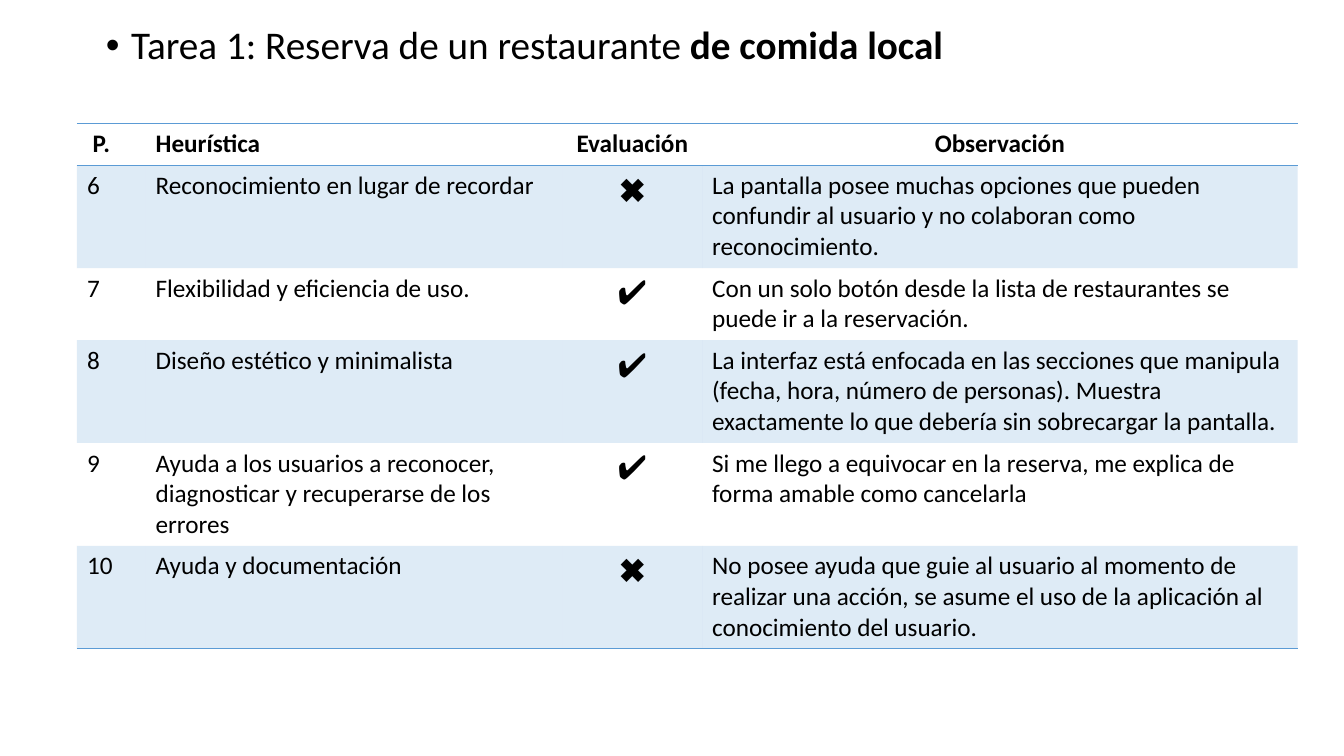
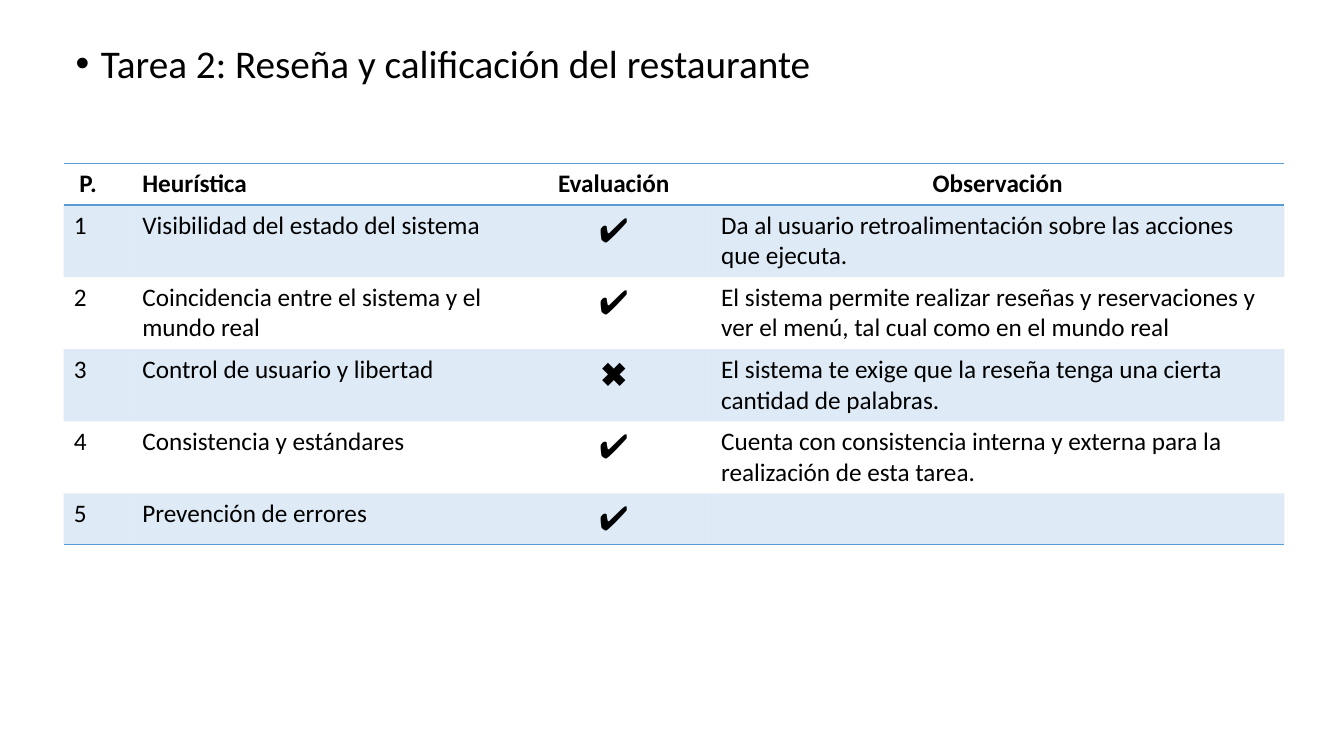
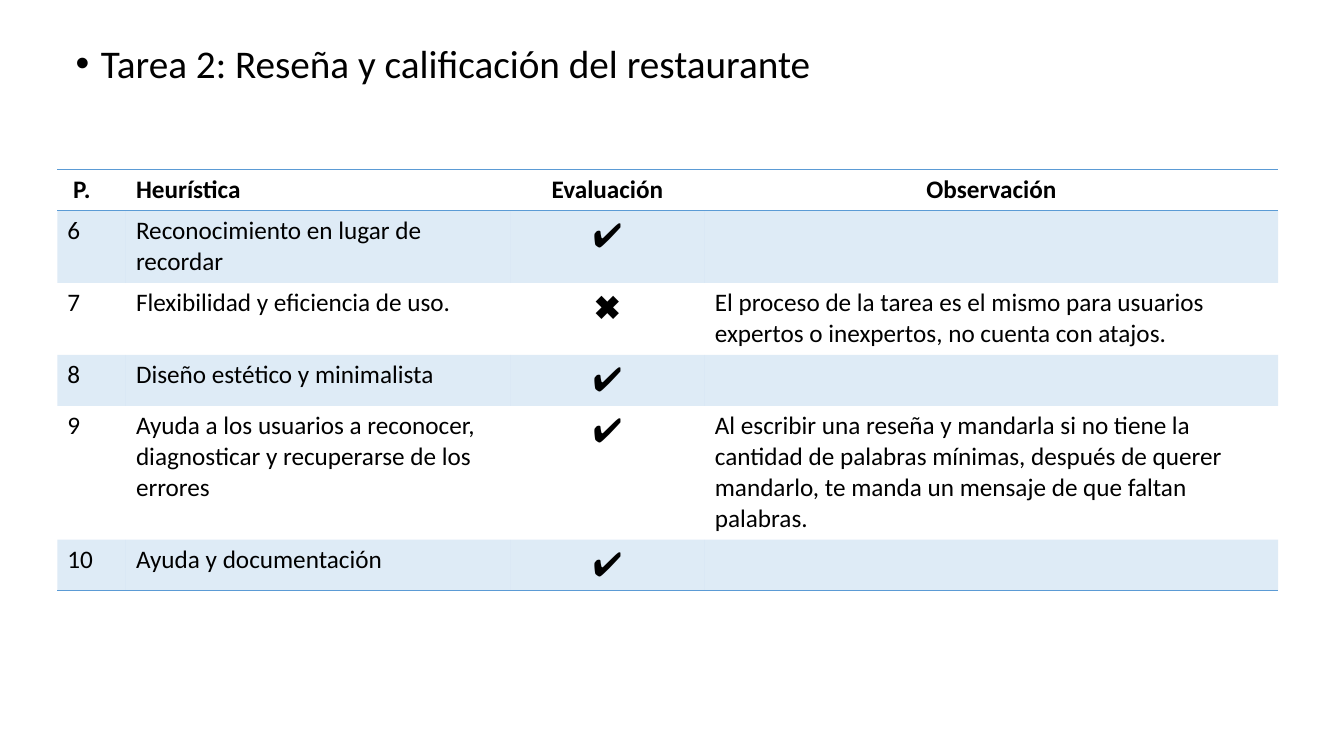
from lxml import etree
from pptx import Presentation
from pptx.dml.color import RGBColor
from pptx.enum.text import PP_ALIGN
from pptx.oxml import parse_xml
from pptx.oxml.ns import nsdecls, qn
from pptx.util import Pt

LEFT, CENTER = PP_ALIGN.LEFT, PP_ALIGN.CENTER
COLORS = {"text": "000000", "accent": "5B9BD5"}
FONT = "Calibri"
BAND_ALPHA = "20000"
PLAIN_TABLE = "{2D5ABB26-0587-4C30-8999-92F81FD0307C}"

# Row heights in points, by the number of text lines in the row
HEADER_HEIGHT = 29.5
ROW_HEIGHTS = {1: 36.5, 2: 51.5, 3: 73.5, 4: 95.5}
HEADER = (" P.", "Heurística", "Evaluación", "Observación")
MARK_COLUMN = 2
YES, NO = "✔️", "✖️"

TASK_2 = [("Tarea 2: Reseña y calificación del restaurante", False)]
TASK_2_COLUMNS = (49, 274.5, 139, 409.5)

# Each row: number of lines, then the four cells
PAGES = [
    {
        "title": [("Tarea 1: Reserva de un restaurante ", False), ("de comida local", True)],
        "title_at": (68.5, 15),
        "table_at": (55, 88.5),
        "columns": (49, 298, 99.5, 425.5),
        "rows": [
            (3, "6", "Reconocimiento en lugar de recordar", NO,
             "La pantalla posee muchas opciones que pueden confundir al usuario "
             "y no colaboran como reconocimiento."),
            (2, "7", "Flexibilidad y eficiencia de uso.", YES,
             "Con un solo botón desde la lista de restaurantes se puede ir a la reservación."),
            (3, "8", "Diseño estético y minimalista", YES,
             "La interfaz está enfocada en las secciones que manipula (fecha, hora, número "
             "de personas). Muestra exactamente lo que debería sin sobrecargar la pantalla."),
            (3, "9", "Ayuda a los usuarios a reconocer, diagnosticar y recuperarse de los errores",
             YES, "Si me llego a equivocar en la reserva, me explica de forma amable como cancelarla"),
            (3, "10", "Ayuda y documentación", NO,
             "No posee ayuda que guie al usuario al momento de realizar una acción, "
             "se asume el uso de la aplicación al conocimiento del usuario."),
        ],
    },
    {
        "title": TASK_2,
        "title_at": (47, 28),
        "table_at": (45.5, 117),
        "columns": TASK_2_COLUMNS,
        "rows": [
            (2, "1", "Visibilidad del estado del sistema", YES,
             "Da al usuario retroalimentación sobre las acciones que ejecuta."),
            (2, "2", "Coincidencia entre el sistema y el mundo real", YES,
             "El sistema permite realizar reseñas y reservaciones y ver el menú, "
             "tal cual como en el mundo real"),
            (2, "3", "Control de usuario y libertad", NO,
             "El sistema te exige que la reseña tenga una cierta cantidad de palabras."),
            (2, "4", "Consistencia y estándares", YES,
             "Cuenta con consistencia interna y externa para la realización de esta tarea."),
            (1, "5", "Prevención de errores", YES, ""),
        ],
    },
    {
        "title": TASK_2,
        "title_at": (47, 28),
        "table_at": (41, 121),
        "columns": TASK_2_COLUMNS,
        "rows": [
            (2, "6", "Reconocimiento en lugar de recordar", YES, ""),
            (2, "7", "Flexibilidad y eficiencia de uso.", NO,
             "El proceso de la tarea es el mismo para usuarios expertos o inexpertos, "
             "no cuenta con atajos."),
            (1, "8", "Diseño estético y minimalista", YES, ""),
            (4, "9", "Ayuda a los usuarios a reconocer, diagnosticar y recuperarse de los errores",
             YES, "Al escribir una reseña y mandarla si no tiene la cantidad de palabras mínimas, "
             "después de querer mandarlo, te manda un mensaje de que faltan palabras."),
            (1, "10", "Ayuda y documentación", YES, ""),
        ],
    },
]


def add_text(para, text, size=18, bold=False, align=LEFT):
    para.alignment = align
    if text:
        span = para.add_run()
        span.text = text
        span.font.name = FONT
        span.font.size = Pt(size)
        span.font.bold = bold
        span.font.color.rgb = RGBColor.from_string(COLORS["text"])


def style_cell(cell, edges, banded):
    properties = cell._tc.get_or_add_tcPr()
    for edge in edges:
        properties.append(parse_xml(
            f'<a:{edge} {nsdecls("a")} w="12700"><a:solidFill>'
            f'<a:srgbClr val="{COLORS["accent"]}"/></a:solidFill></a:{edge}>'))
    if banded:
        cell.fill.solid()
        cell.fill.fore_color.rgb = RGBColor.from_string(COLORS["accent"])
        color = properties.find(qn("a:solidFill")).find(qn("a:srgbClr"))
        etree.SubElement(color, qn("a:alpha"), val=BAND_ALPHA)
    else:
        cell.fill.background()


deck = Presentation()
deck.slide_width, deck.slide_height = Pt(960), Pt(540)

for content in PAGES:
    page = deck.slides.add_slide(deck.slide_layouts[6])

    # Evaluation table
    heights = [HEADER_HEIGHT] + [ROW_HEIGHTS[row[0]] for row in content["rows"]]
    rows = [HEADER] + [row[1:] for row in content["rows"]]
    left, top = content["table_at"]
    table = page.shapes.add_table(
        len(rows), len(HEADER), Pt(left), Pt(top),
        Pt(sum(content["columns"])), Pt(sum(heights))).table
    table._tbl.tblPr.find(qn("a:tableStyleId")).text = PLAIN_TABLE
    for column, width in zip(table.columns, content["columns"]):
        column.width = Pt(width)

    for row_index, texts in enumerate(rows):
        table.rows[row_index].height = Pt(heights[row_index])
        is_header = row_index == 0
        is_last = row_index == len(rows) - 1
        edges = ("lnT", "lnB") if is_header else ("lnB",) if is_last else ()
        for column_index, text in enumerate(texts):
            cell = table.cell(row_index, column_index)
            is_mark = column_index == MARK_COLUMN and not is_header
            centered = column_index == MARK_COLUMN or (is_header and column_index > MARK_COLUMN)
            add_text(cell.text_frame.paragraphs[0], text, size=24 if is_mark else 18,
                     bold=is_header, align=CENTER if centered else LEFT)
            style_cell(cell, edges, banded=row_index % 2 == 1)

    # Bulleted task title
    left, top = content["title_at"]
    box = page.shapes.add_textbox(Pt(left), Pt(top), Pt(870.5), Pt(55.5))
    box.text_frame.word_wrap = True
    para = box.text_frame.paragraphs[0]
    properties = para._p.get_or_add_pPr()
    properties.set("marL", str(Pt(18)))
    properties.set("indent", str(Pt(-18)))
    etree.SubElement(properties, qn("a:buFont"), typeface="Arial")
    etree.SubElement(properties, qn("a:buChar"), char="•")
    para.line_spacing = 0.9
    for text, bold in content["title"]:
        add_text(para, text, size=28, bold=bold)

deck.save("out.pptx")
